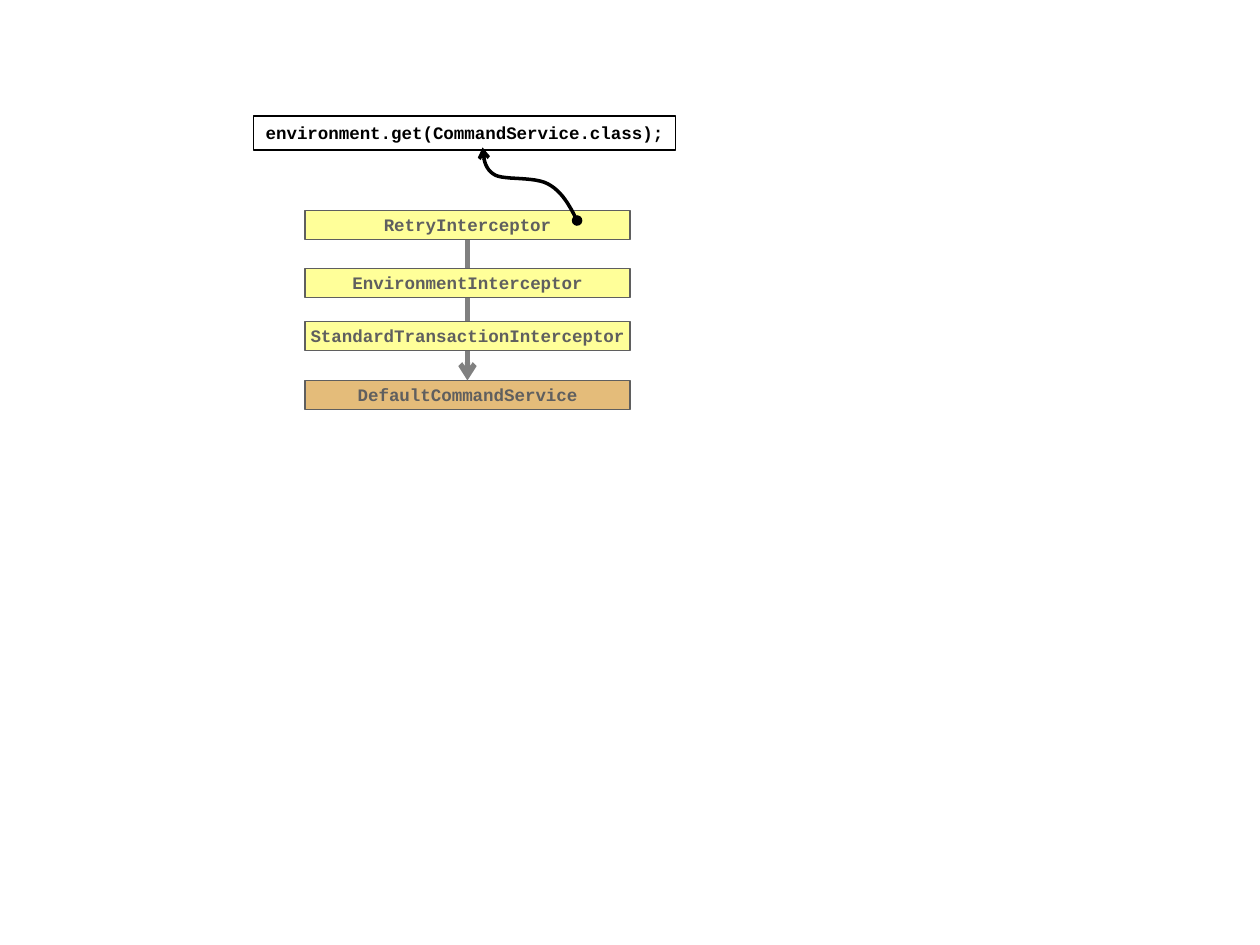
from pptx import Presentation
from pptx.dml.color import RGBColor
from pptx.enum import shapes, text
from pptx.oxml.ns import qn
from pptx.util import Inches, Pt
from lxml import etree

BLACK = RGBColor(0x00, 0x00, 0x00)
DARK_GRAY = RGBColor(0x5F, 0x5F, 0x5F)
GRAY = RGBColor(0x80, 0x80, 0x80)
YELLOW = RGBColor(0xFF, 0xFF, 0x99)
TAN = RGBColor(0xE4, 0xBC, 0x7A)

CHAIN_LEFT, CHAIN_WIDTH, CHAIN_HEIGHT = 2.42, 2.58, 0.23
INTERCEPTORS = [
    ("RetryInterceptor", 1.67),
    ("EnvironmentInterceptor", 2.13),
    ("StandardTransactionInterceptor", 2.55),
]

# Lookup curve: start point, then cubic segments (two controls and an end)
CURVE_START = (4.58, 1.75)
CURVE_SEGMENTS = [
    ((4.52, 1.63), (4.46, 1.52), (4.35, 1.46)),
    ((4.24, 1.40), (4.01, 1.43), (3.93, 1.39)),
    ((3.84, 1.34), (3.84, 1.25), (3.83, 1.17)),
]
STEPS = 12


def add_code_box(slide, code, left, top, width, height, color,
                 fill=None, align=text.PP_ALIGN.CENTER,
                 anchor=text.MSO_ANCHOR.MIDDLE):
    """Outlined rectangle holding one line of code."""
    box = slide.shapes.add_shape(
        shapes.MSO_SHAPE.RECTANGLE,
        Inches(left), Inches(top), Inches(width), Inches(height))
    box.shadow.inherit = False
    if fill is None:
        box.fill.background()
    else:
        box.fill.solid()
        box.fill.fore_color.rgb = fill
    box.line.color.rgb = color
    box.line.width = Pt(0.75)

    frame = box.text_frame
    frame.word_wrap = False
    frame.vertical_anchor = anchor
    frame.text = code
    line = frame.paragraphs[0]
    line.alignment = align
    font = line.runs[0].font
    font.name, font.size, font.bold = "Courier New", Pt(10), True
    font.color.rgb = color
    return box


def style_arrow(arrow, color, width, head=None):
    """Line colour, width and end markers."""
    arrow.line.color.rgb = color
    arrow.line.width = Pt(width)
    outline = arrow.line._get_or_add_ln()
    if head:
        etree.SubElement(outline, qn("a:headEnd"), type=head)
    etree.SubElement(outline, qn("a:tailEnd"), type="arrow")


def add_chain_arrow(slide, x, top, bottom):
    arrow = slide.shapes.add_connector(
        shapes.MSO_CONNECTOR.STRAIGHT,
        Inches(x), Inches(top), Inches(x), Inches(bottom))
    style_arrow(arrow, GRAY, 3)
    etree.SubElement(arrow._element.spPr, qn("a:effectLst"))


def curve_points(start, segments):
    """Points along the joined cubic segments, after the start."""
    points = []
    for c1, c2, end in segments:
        for step in range(1, STEPS + 1):
            t = step / STEPS
            s = 1 - t
            points.append(tuple(
                Inches(s**3 * a + 3 * s * s * t * b + 3 * s * t * t * c + t**3 * d)
                for a, b, c, d in zip(start, c1, c2, end)))
        start = end
    return points


def add_lookup_curve(slide):
    builder = slide.shapes.build_freeform(*(Inches(v) for v in CURVE_START))
    builder.add_line_segments(curve_points(CURVE_START, CURVE_SEGMENTS), close=False)
    curve = builder.convert_to_shape()
    curve.fill.background()
    style_arrow(curve, BLACK, 2, head="oval")
    curve.shadow.inherit = False


def main():
    prs = Presentation()
    prs.slide_width, prs.slide_height = Inches(10), Inches(7.5)
    slide = prs.slides.add_slide(prs.slide_layouts[6])

    # Command service at the end of the chain
    service_top = 3.02
    add_code_box(slide, "DefaultCommandService", CHAIN_LEFT, service_top,
                 CHAIN_WIDTH, CHAIN_HEIGHT, DARK_GRAY, TAN)

    # Arrow behind the interceptors
    add_chain_arrow(slide, CHAIN_LEFT + CHAIN_WIDTH / 2, 1.76, service_top)
    for name, top in INTERCEPTORS:
        add_code_box(slide, name, CHAIN_LEFT, top,
                     CHAIN_WIDTH, CHAIN_HEIGHT, DARK_GRAY, YELLOW)

    # Lookup call and the interceptor it returns
    lookup = add_code_box(slide, "environment.get(CommandService.class);",
                          2.01, 0.92, 3.35, 0.27, BLACK,
                          align=text.PP_ALIGN.LEFT, anchor=text.MSO_ANCHOR.TOP)
    # A narrow right inset keeps the call on one line
    lookup.text_frame.margin_right = Inches(0.05)
    add_lookup_curve(slide)

    prs.save("out.pptx")


if __name__ == "__main__":
    main()
